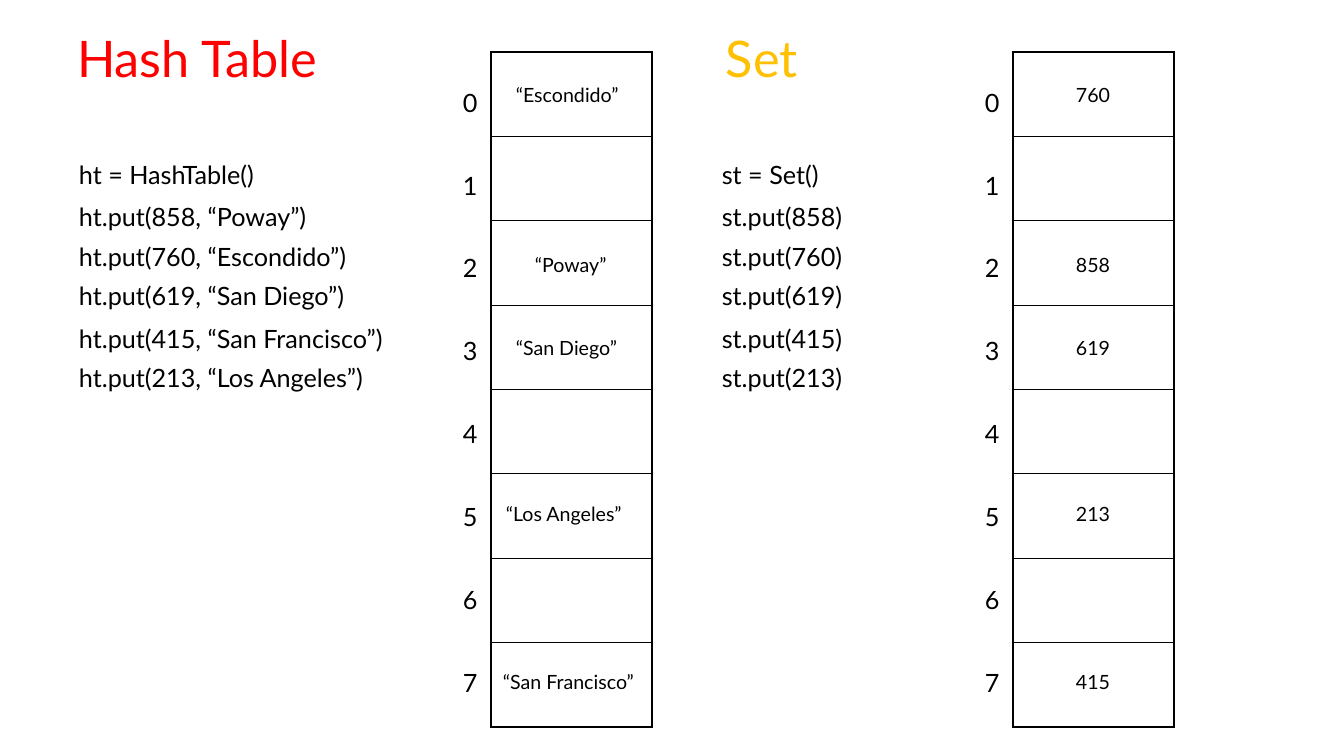
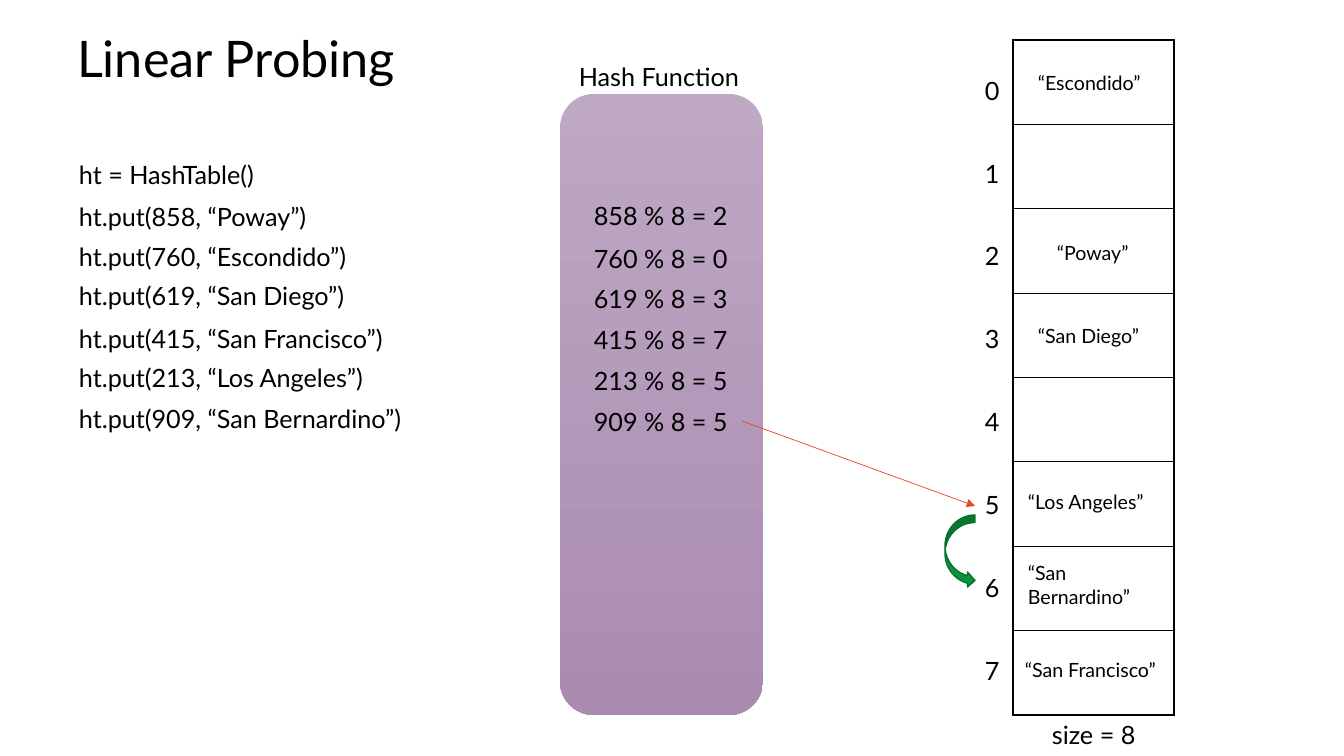
from dataclasses import dataclass

from lxml import etree
from pptx import Presentation
from pptx import util as u
from pptx.dml.color import RGBColor
from pptx.enum import shapes, text
from pptx.oxml import ns

SLIDE_WIDTH, SLIDE_HEIGHT = 1344, 756
EMU_PER_PX = 12192000 / SLIDE_WIDTH
SLOTS = 8
TITLE_ONLY = 5
CODE_TOPS = (154, 196, 236, 275, 318, 357, 398)
SUM_TOPS = (195, 238, 278, 319, 360, 401)
LABEL_DROPS = {0: 26, 2: 196, 3: 279, 5: 445, 6: 516, 7: 613}


@dataclass(frozen=True)
class Theme:
    font: str = "Lato"
    black: str = "000000"
    red: str = "FF0000"
    gold: str = "FFC000"
    panel_top: str = "BEA8C4"
    panel_bottom: str = "A98BB0"
    pointer: str = "E64823"
    probe: str = "09963B"
    probe_edge: str = "076F2C"
    title_size: int = 36
    body_size: int = 18
    label_size: int = 14
    index_gap: float = 37.6


THEME = Theme()


@dataclass(frozen=True)
class Entry:
    key: int
    city: str
    indent: int

    @property
    def quoted(self):
        return f"“{self.city}”"


ENTRIES = [
    Entry(858, "Poway", 34),
    Entry(760, "Escondido", 15),
    Entry(619, "San Diego", 15),
    Entry(415, "San Francisco", 2),
    Entry(213, "Los Angeles", 5),
]
COLLIDING = Entry(909, "San Bernardino", 5)


def px(length):
    return u.Emu(round(length * EMU_PER_PX))


def rgb(value):
    return RGBColor.from_string(value)


def probe_slots(entries):
    """Map each slot to its entry, moving on by one when a slot is taken."""
    slots = {}
    for entry in entries:
        slot = entry.key % SLOTS
        while slot in slots:
            slot = (slot + 1) % SLOTS
        slots[slot] = entry
    return slots


def add_run(paragraph, words, size, color=THEME.black):
    run = paragraph.add_run()
    run.text = words
    run.font.name = THEME.font
    run.font.size = u.Pt(size)
    run.font.color.rgb = rgb(color)


def add_label(slide, words, left, top, width, size=THEME.body_size, height=40):
    box = slide.shapes.add_textbox(px(left), px(top), px(width), px(height))
    box.text_frame.word_wrap = True
    add_run(box.text_frame.paragraphs[0], words, size)
    return box


def add_lines(slide, lines, left, tops, width):
    for line, top in zip(lines, tops):
        add_label(slide, line, left, top, width)


def format_title(shape, words, left, color):
    shape.left, shape.top = px(left), px(29)
    shape.width, shape.height = px(515), px(73)
    frame = shape.text_frame
    frame.word_wrap = True
    frame.auto_size = text.MSO_AUTO_SIZE.NONE
    frame.vertical_anchor = text.MSO_ANCHOR.TOP
    paragraph = frame.paragraphs[0]
    paragraph.alignment = text.PP_ALIGN.LEFT
    paragraph.line_spacing = 0.9
    add_run(paragraph, words, THEME.title_size, color)


def add_titled_slide(presentation, words, color):
    slide = presentation.slides.add_slide(presentation.slide_layouts[TITLE_ONLY])
    format_title(slide.shapes.title, words, 67, color)
    return slide


def border_cell(cell):
    properties = cell._tc.get_or_add_tcPr()
    for side in ("lnL", "lnR", "lnT", "lnB"):
        line = etree.SubElement(properties, ns.qn(f"a:{side}"), w=str(u.Pt(1)))
        fill = etree.SubElement(line, ns.qn("a:solidFill"))
        etree.SubElement(fill, ns.qn("a:srgbClr"), val=THEME.black)


def add_indexes(slide, left, top):
    box = add_label(slide, "0", left, top, 40, height=627)
    for slot in range(1, SLOTS):
        paragraph = box.text_frame.add_paragraph()
        paragraph.space_before = u.Pt(THEME.index_gap)
        add_run(paragraph, str(slot), THEME.body_size)


def add_slots(slide, left, top):
    """Add the empty slot table with its indexes on the left."""
    frame = slide.shapes.add_table(SLOTS, 1, px(left), px(top), px(161), px(675))
    table = frame.table
    table.first_row = table.horz_banding = False
    for cell in table.iter_cells():
        border_cell(cell)
        cell.fill.background()
    add_indexes(slide, left - 38, top + 30)


def add_city_slots(slide, entries, left, top):
    add_slots(slide, left, top)
    for slot, entry in probe_slots(entries).items():
        add_label(slide, entry.quoted, left + entry.indent, top + LABEL_DROPS[slot],
                  155, THEME.label_size)


def add_key_slots(slide, entries, left, top):
    add_slots(slide, left, top)
    for slot, entry in probe_slots(entries).items():
        add_label(slide, str(entry.key), left + 53, top + LABEL_DROPS[slot],
                  60, THEME.label_size)


def add_preset(slide, kind, left, top, width, height):
    shape = slide.shapes.add_shape(kind, px(left), px(top), px(width), px(height))
    shape.shadow.inherit = False
    return shape


def add_hash_panel(slide, entries):
    panel = add_preset(slide, shapes.MSO_SHAPE.ROUNDED_RECTANGLE, 560, 94, 203, 621)
    panel.line.fill.background()
    panel.fill.gradient()
    panel.fill.gradient_angle = 270
    for stop, color in zip(panel.fill.gradient_stops, (THEME.panel_top, THEME.panel_bottom)):
        stop.color.rgb = rgb(color)
    add_label(slide, "Hash Function", 569, 56, 190)
    sums = [f"{entry.key} % {SLOTS} = {entry.key % SLOTS}" for entry in entries]
    add_lines(slide, sums, 584, SUM_TOPS, 170)


def add_pointer(slide, start, end):
    pointer = slide.shapes.add_connector(
        shapes.MSO_CONNECTOR.STRAIGHT, *map(px, start), *map(px, end))
    pointer.line.color.rgb = rgb(THEME.pointer)
    pointer.line.width = u.Pt(0.5)
    etree.SubElement(pointer.line._get_or_add_ln(), ns.qn("a:tailEnd"), type="triangle")
    etree.SubElement(pointer._element.spPr, ns.qn("a:effectLst"))


def add_probe_arrow(slide):
    arrow = add_preset(slide, shapes.MSO_SHAPE.CURVED_RIGHT_ARROW, 945, 515, 30, 73)
    arrow.fill.solid()
    arrow.fill.fore_color.rgb = rgb(THEME.probe)
    arrow.line.color.rgb = rgb(THEME.probe_edge)
    arrow.line.width = u.Pt(1)


def add_table_code(slide, entries):
    calls = [f"ht.put({entry.key}, {entry.quoted})" for entry in entries]
    add_lines(slide, ["ht = HashTable()"] + calls, 69, CODE_TOPS, 370)


def add_set_code(slide, entries):
    calls = [f"st.put({entry.key})" for entry in entries]
    add_lines(slide, ["st = Set()"] + calls, 712, CODE_TOPS, 150)


def build_table_and_set(presentation):
    slide = add_titled_slide(presentation, "Hash Table", THEME.red)
    add_table_code(slide, ENTRIES)
    add_city_slots(slide, ENTRIES, 491, 52)

    set_title = slide.shapes.add_textbox(0, 0, 0, 0)
    format_title(set_title, "Set", 716, THEME.gold)
    add_set_code(slide, ENTRIES)
    add_key_slots(slide, ENTRIES, 1013, 52)


def build_linear_probing(presentation):
    entries = ENTRIES + [COLLIDING]
    slide = add_titled_slide(presentation, "Linear Probing", THEME.black)
    add_table_code(slide, entries)
    add_hash_panel(slide, entries)
    add_city_slots(slide, entries, 1013, 40)
    add_label(slide, f"size = {SLOTS}", 1042, 714, 111)
    add_pointer(slide, (742, 421), (975, 506))
    add_probe_arrow(slide)


def main():
    presentation = Presentation()
    presentation.slide_width = px(SLIDE_WIDTH)
    presentation.slide_height = px(SLIDE_HEIGHT)
    build_table_and_set(presentation)
    build_linear_probing(presentation)
    presentation.save("out.pptx")


if __name__ == "__main__":
    main()
